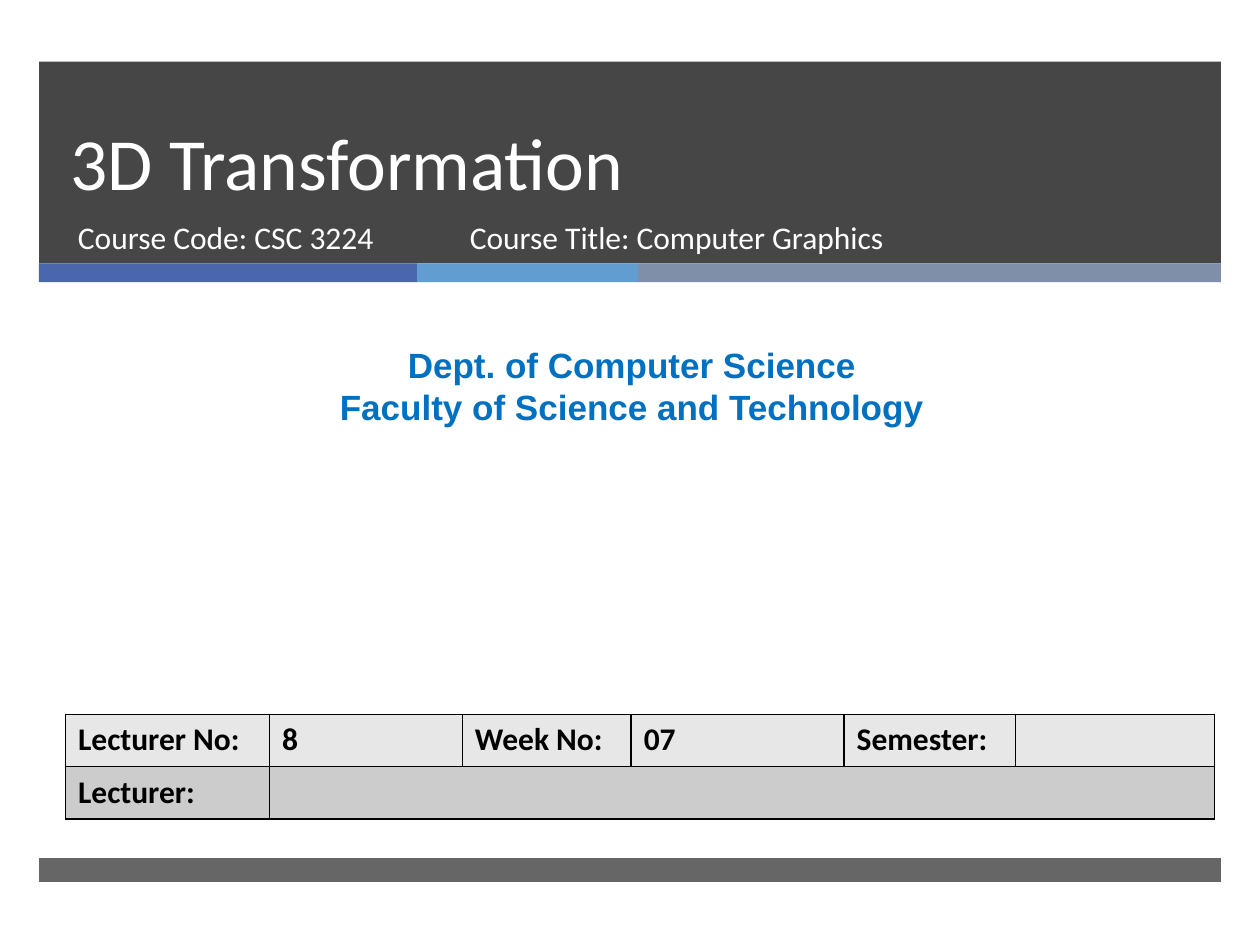
from lxml import etree
from pptx import Presentation
from pptx.dml.color import RGBColor
from pptx.enum.shapes import MSO_SHAPE
from pptx.enum.text import MSO_ANCHOR, PP_ALIGN
from pptx.oxml import parse_xml
from pptx.oxml.ns import qn
from pptx.util import Inches, Pt

RECT = MSO_SHAPE.RECTANGLE
TOP, BOTTOM = MSO_ANCHOR.TOP, MSO_ANCHOR.BOTTOM
LEFT, CENTER = PP_ALIGN.LEFT, PP_ALIGN.CENTER
NS = "http://schemas.openxmlformats.org/drawingml/2006/main"
DARK, WHITE, BLACK, BLUE = "262626", "FFFFFF", "000000", "0070C0"


def tint(color, code):
    color.rgb = RGBColor.from_string(code)


def place(box):
    return [Inches(n) for n in box]


def bar(slide, box, code, alpha=100):
    shape = slide.shapes.add_shape(RECT, *place(box))
    shape.shadow.inherit = False
    shape.line.fill.background()
    shape.fill.solid()
    tint(shape.fill.fore_color, code)
    if alpha < 100:
        node = shape.fill._xPr.find(".//" + qn("a:srgbClr"))
        etree.SubElement(node, qn("a:alpha")).set("val", str(alpha * 1000))


def write(para, words, size, code, font="Calibri", bold=False):
    run = para.add_run()
    run.text = words
    run.font.name = font
    run.font.size = Pt(size)
    run.font.bold = bold
    tint(run.font.color, code)


def label(slide, box, lines, size, code, font="Calibri", bold=False,
          align=LEFT, anchor=TOP, pitch=None):
    frame = slide.shapes.add_textbox(*place(box)).text_frame
    frame.word_wrap = True
    frame.vertical_anchor = anchor
    for i, words in enumerate(lines):
        para = frame.add_paragraph() if i else frame.paragraphs[0]
        para.alignment = align
        if pitch:
            para.line_spacing = Pt(pitch)
        write(para, words, size, code, font, bold)


def header(slide, box):
    left, top, width, height = box
    bar(slide, box, DARK, 85)
    x, y = left, top + height
    for share, code in ((0.32, "4A66AC"), (0.187, "629DD1"), (0.493, "7F8FA9")):
        bar(slide, (x, y, width * share, 0.15), code)
        x += width * share
    label(slide, (left + 0.15, top, 8.54, 1.19), ["3D Transformation"],
          42, WHITE, anchor=BOTTOM, pitch=46)
    for shift, span, words in ((0.21, 3.05, "Course Code: CSC 3224"),
                               (3.32, 4.55, "Course Title: Computer Graphics")):
        label(slide, (left + shift, top + 1.19, span, 0.53), [words], 18, WHITE)


def dept(slide, box):
    label(slide, box, ["Dept. of Computer Science",
                       "Faculty of Science and Technology"],
          20, BLUE, "Arial", True, CENTER)


def edge(cell):
    props = cell._tc.get_or_add_tcPr()
    for side in ("lnL", "lnR", "lnT", "lnB"):
        props.append(parse_xml(
            f'<a:{side} xmlns:a="{NS}" w="12700"><a:solidFill>'
            f'<a:srgbClr val="{BLACK}"/></a:solidFill></a:{side}>'))


def details(slide, box):
    rows = (("E7E7E7", ("Lecturer No:", "8", "Week No:", "07", "Semester:", "")),
            ("CCCCCC", ("Lecturer:", "", "", "", "", "")))
    cols = (1.62, 1.53, 1.34, 1.69, 1.36, 1.58)
    grid = slide.shapes.add_table(len(rows), len(cols), *place(box)).table
    for col, width in zip(grid.columns, cols):
        col.width = Inches(width)
    for r, (code, texts) in enumerate(rows):
        for c, words in enumerate(texts):
            cell = grid.cell(r, c)
            edge(cell)
            cell.fill.solid()
            tint(cell.fill.fore_color, code)
            if words:
                write(cell.text_frame.paragraphs[0], words, 18, BLACK, bold=True)
    grid.cell(1, 1).merge(grid.cell(1, len(cols) - 1))


def main():
    deck = Presentation()
    deck.slide_width, deck.slide_height = Inches(10), Inches(7.5)
    slide = deck.slides.add_slide(deck.slide_layouts[6])
    header(slide, (0.31, 0.49, 9.38, 1.6))
    bar(slide, (0.31, 6.81, 9.38, 0.19), DARK, 70)
    dept(slide, (0.08, 2.68, 9.87, 0.77))
    details(slide, (0.52, 5.67, 9.12, 0.83))
    deck.save("out.pptx")


if __name__ == "__main__":
    main()
